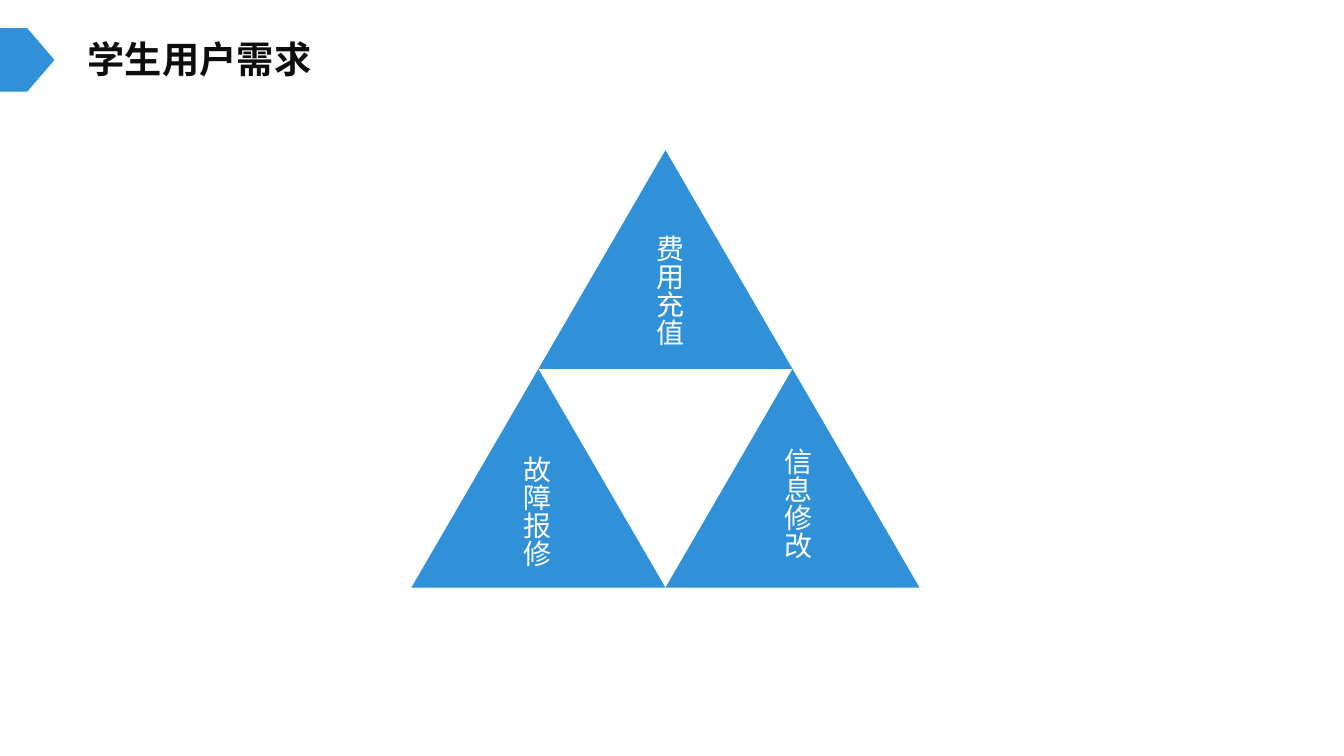
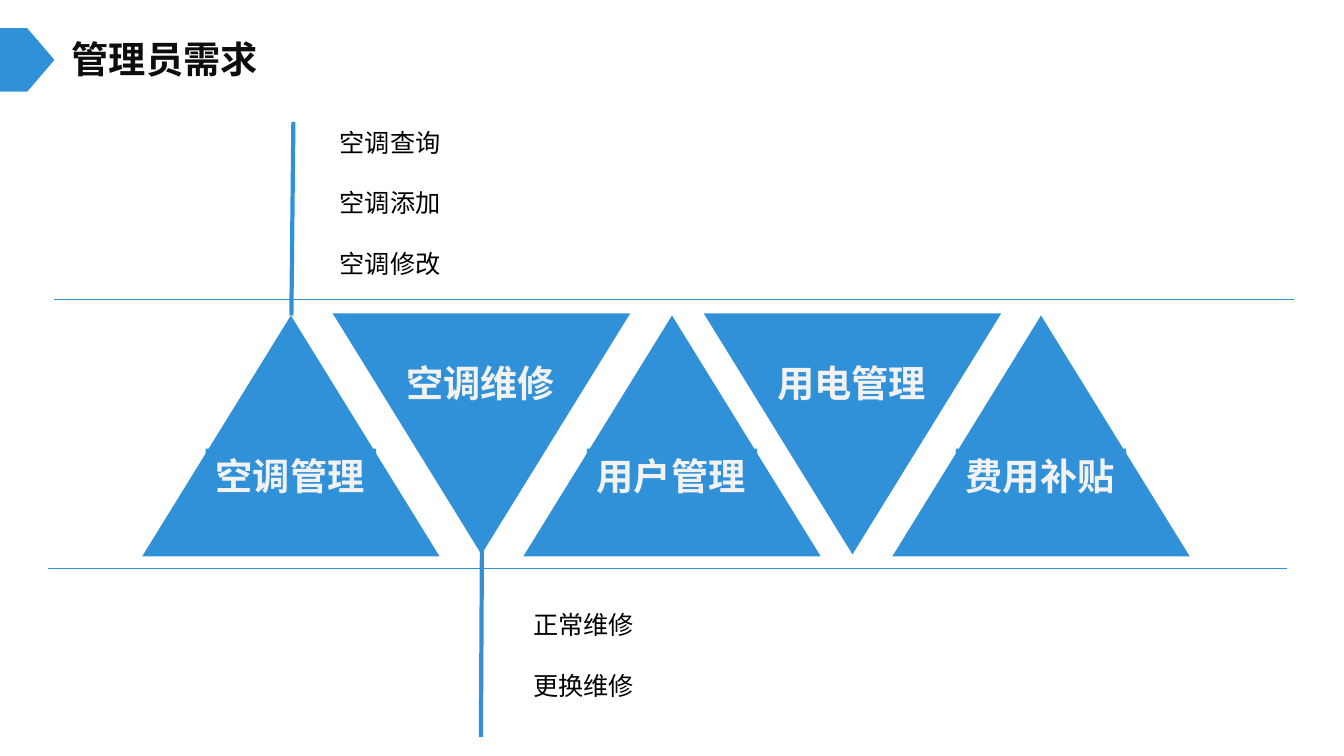
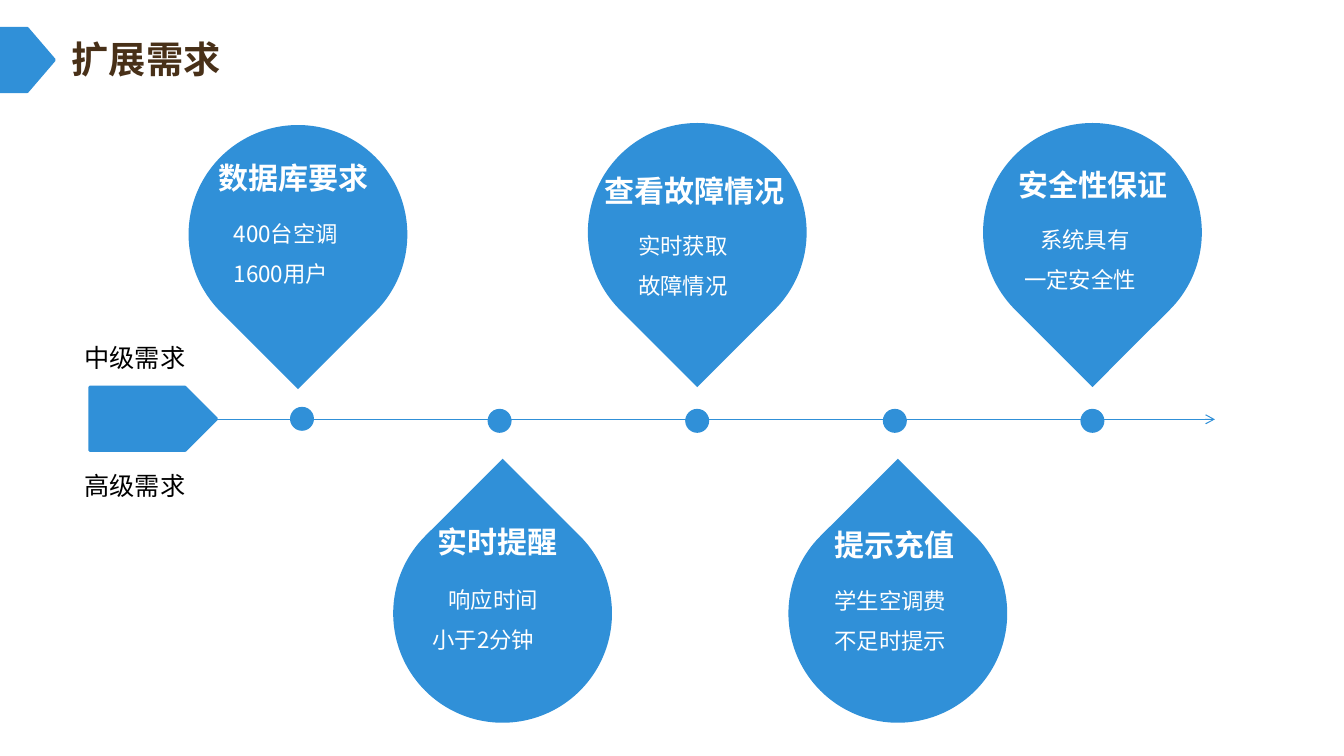
from pptx import Presentation
from pptx.dml.color import RGBColor
from pptx.enum.shapes import MSO_CONNECTOR, MSO_SHAPE
from pptx.enum.text import MSO_ANCHOR, MSO_AUTO_SIZE, PP_ALIGN
from pptx.oxml.ns import qn
from pptx.util import Inches, Pt
from lxml.etree import SubElement

BLUE = RGBColor(0x30, 0x90, 0xD8)
BROWN = RGBColor(0x48, 0x30, 0x18)
INK = RGBColor(0x0D, 0x0D, 0x0D)
BLACK = RGBColor(0, 0, 0)
WHITE = RGBColor(0xFF, 0xFF, 0xFF)
PALE = RGBColor(0xF2, 0xF2, 0xF2)
SANS = "Noto Sans CJK SC"
LATIN = "Calibri"

STUDENT_NEEDS = [
    ("费用充值", (5.34, 1.49), (6.32, 2.23)),
    ("故障报修", (4.08, 3.66), (5, 4.42)),
    ("信息修改", (6.6, 3.66), (7.59, 4.34)),
]
ADMIN_NEEDS = [
    ("空调管理", 1.41),
    ("空调维修", 3.3),
    ("用户管理", 5.19),
    ("用电管理", 6.98),
    ("费用补贴", 8.85),
]
ADMIN_DETAILS = [
    (["空调查询", "空调添加", "空调修改"], (3.27, 1.21, 2.99, 1.61)),
    (["正常维修", "更换维修"], (5.19, 6, 3.18, 1.01)),
]
ADMIN_LINES = [
    ((0.48, 5.64), (12.76, 5.64), 0.75),
    ((0.54, 2.97), (12.83, 2.97), 0.75),
    ((2.91, 1.21), (2.89, 3.13), 3),
    ((4.78, 5.4), (4.77, 7.31), 3),
]
EXTENSIONS = [
    ("数据库要求", ["400台空调", "1600用户"], 0, (1.87, 1.24), (2.07, 1.53), (2.22, 2)),
    ("实时提醒", ["响应时间", "小于2分钟"], 0.16, (3.9, 5), (4.24, 5.14), (4.19, 5.63)),
    ("查看故障情况", ["实时获取", "故障情况"], 0, (5.83, 1.22), (5.9, 1.66), (6.23, 2.12)),
    ("提示充值", ["学生空调费", "不足时提示"], 0, (7.82, 5), (8.18, 5.17), (8.18, 5.64)),
    ("安全性保证", ["系统具有", "一定安全性"], 0.16, (9.75, 1.22), (10, 1.6), (10.06, 2.06)),
]
LEVELS = [("中级需求", 3.35), ("高级需求", 4.62)]


def write(frame, lines, size=18, font=LATIN, color=BLACK, bold=False, wrap=True,
          spacing=None, gap=0, indent=0, vertical=False):
    frame.word_wrap = wrap
    frame.auto_size = MSO_AUTO_SIZE.SHAPE_TO_FIT_TEXT
    frame.vertical_anchor = MSO_ANCHOR.TOP
    if vertical:
        frame._txBody.bodyPr.set("vert", "eaVert")
    for index, line in enumerate(lines):
        paragraph = frame.add_paragraph() if index else frame.paragraphs[0]
        paragraph.alignment = PP_ALIGN.LEFT
        if spacing:
            paragraph.line_spacing = spacing
        if index and gap:
            paragraph.space_before = Pt(gap)
        if not index and indent:
            paragraph._p.get_or_add_pPr().set("indent", str(Inches(indent)))
        run = paragraph.add_run()
        run.text = line
        run.font.size, run.font.bold, run.font.name = Pt(size), bold, font
        run.font.color.rgb = color
        SubElement(run._r.get_or_add_rPr(), qn("a:ea")).set("typeface", font)


def add_text(shapes, lines, box, **style):
    write(shapes.add_textbox(*map(Inches, box)).text_frame, lines, **style)


def add_figure(shapes, kind, box, outline=0):
    figure = shapes.add_shape(kind, *map(Inches, box))
    figure.shadow.inherit = False
    figure.fill.solid()
    figure.fill.fore_color.rgb = BLUE
    if outline:
        figure.line.color.rgb = BLUE
        figure.line.width = Pt(outline)
    else:
        figure.line.fill.background()
    return figure


def add_line(shapes, start, end, width, arrow=False):
    line = shapes.add_connector(MSO_CONNECTOR.STRAIGHT, *map(Inches, start + end))
    line.line.color.rgb = BLUE
    line.line.width = Pt(width)
    if arrow:
        SubElement(line.line._get_or_add_ln(), qn("a:tailEnd")).set("type", "arrow")
    SubElement(line._element.spPr, qn("a:effectLst"))


def add_titled_slide(title, left, width, color=INK, outline=0):
    slide = deck.slides.add_slide(deck.slide_layouts[5])
    add_figure(slide.shapes, MSO_SHAPE.PENTAGON, (0, 0.28, 0.54, 0.63), outline)
    heading = slide.shapes.title
    heading.left, heading.top, heading.width, heading.height = map(
        Inches, (left, 0.31, width, 0.55))
    write(heading.text_frame, [title], size=26.6, font=SANS, color=color,
          bold=True, wrap=False)
    return slide.shapes


deck = Presentation()
deck.slide_width, deck.slide_height = Inches(13.33), Inches(7.5)

student = add_titled_slide("学生用户需求", 0.77, 2.43)
for need, corner, label_corner in STUDENT_NEEDS:
    add_figure(student, MSO_SHAPE.ISOSCELES_TRIANGLE, corner + (2.52, 2.17))
    add_text(student, [need], label_corner + (0.54, 1.34), size=20, color=WHITE,
             vertical=True)

admin = add_titled_slide("管理员需求", 0.61, 2.06)
for index, (need, left) in enumerate(ADMIN_NEEDS):
    inverted = index % 2 == 1
    block = admin.add_group_shape().shapes
    triangle = add_figure(block, MSO_SHAPE.FLOWCHART_EXTRACT,
                          (left, 3.11 if inverted else 3.13, 2.95, 2.39))
    if inverted:
        triangle._element.spPr.get_or_add_xfrm().set("flipV", "1")
    label = add_figure(block, MSO_SHAPE.RECTANGLE,
                       (left + 0.63, 3.52 if inverted else 4.45, 1.69, 0.55))
    write(label.text_frame, [need], size=26.6, font=SANS, color=PALE, bold=True,
          wrap=False)
for start, end, width in ADMIN_LINES:
    add_line(admin, start, end, width)
for details, box in ADMIN_DETAILS:
    add_text(admin, details, box, gap=21.7)

extension = add_titled_slide("扩展需求", 0.61, 1.69, color=BROWN, outline=2)
add_figure(extension, MSO_SHAPE.PENTAGON, (0.89, 3.84, 1.26, 0.63), outline=2)
add_line(extension, (2.02, 4.16), (12.05, 4.16), 0.75, arrow=True)
for index, (name, details, indent, drop, name_corner, detail_corner) in enumerate(EXTENSIONS):
    add_figure(extension, MSO_SHAPE.OVAL,
               (2.89 + 1.96 * index, 4.07 if index else 4.05, 0.21, 0.21), outline=2)
    balloon = extension.add_group_shape().shapes
    teardrop = add_figure(balloon, MSO_SHAPE.TEAR, drop + (2.17, 2.17))
    teardrop.rotation = 315 if index % 2 else 135
    add_text(balloon, details, detail_corner + (1.61, 0.91), size=16, font=SANS,
             color=WHITE, spacing=1.5, indent=indent)
    add_text(balloon, [name], name_corner + (2.29, 0.46), size=21.4, font=SANS,
             color=WHITE, bold=True)
for level, top in LEVELS:
    add_text(extension, [level], (0.74, top, 1.29, 0.4))

deck.save("out.pptx")
